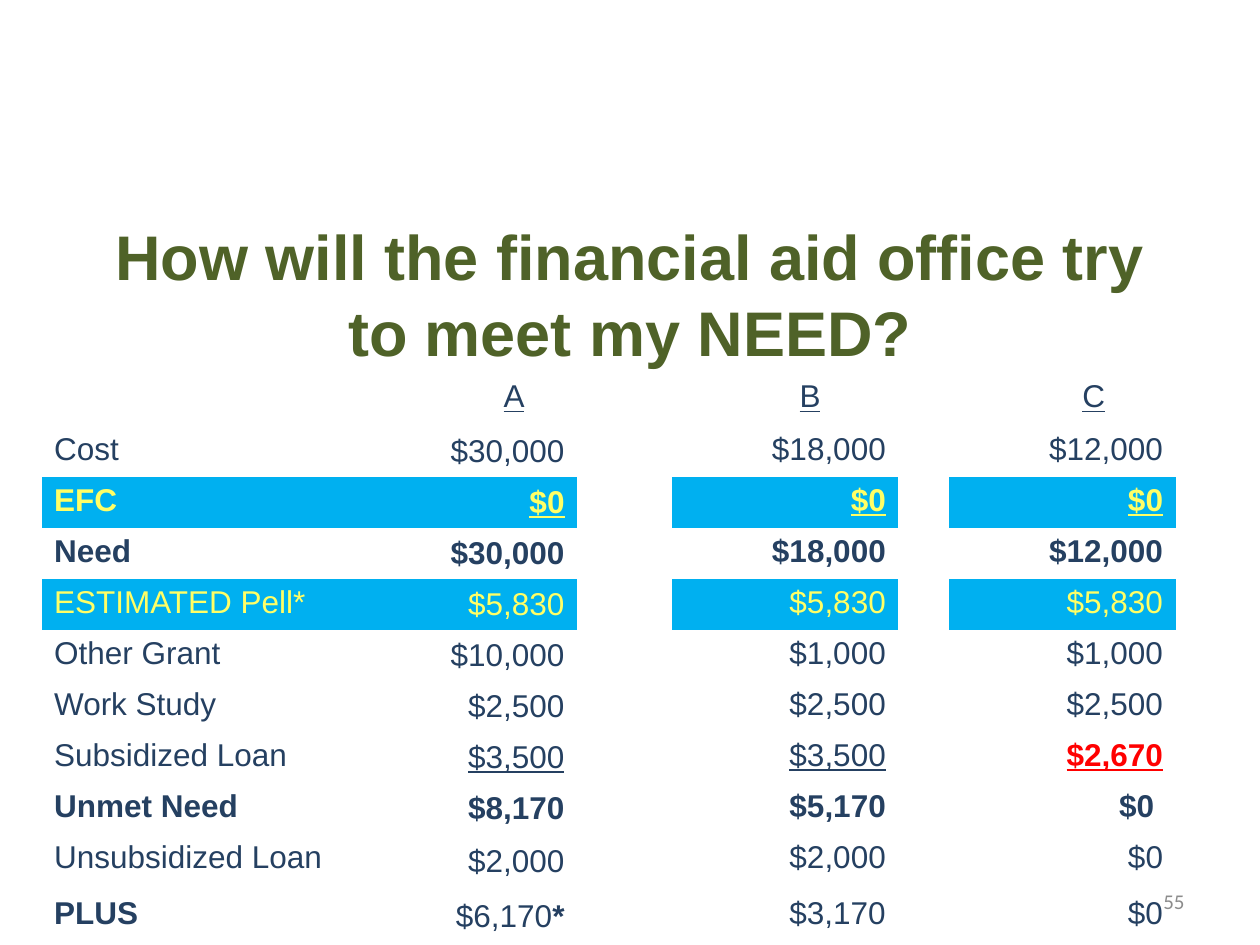
"""Build a slide that shows how financial aid meets need for three students."""
from dataclasses import dataclass

from pptx import Presentation
from pptx.dml.color import RGBColor
from pptx.enum.text import MSO_ANCHOR, PP_ALIGN
from pptx.oxml.ns import qn
from pptx.util import Inches, Pt

LEFT, CENTER, RIGHT = PP_ALIGN.LEFT, PP_ALIGN.CENTER, PP_ALIGN.RIGHT
TOP, MIDDLE = MSO_ANCHOR.TOP, MSO_ANCHOR.MIDDLE
NAVY, YELLOW, RED = "254061", "FFFF66", "FF0000"
GREEN, GREY, BAND = "4F6228", "8C8C8C", "00B0F0"
NO_STYLE = "{2D5ABB26-0587-4C30-8999-92F81FD0307C}"

TABLE_H, HEAD_H, LAST_H = 4.58, 0.46, 0.44
COL_WIDTHS = (2.5, 1.75, 0.75, 1.8, 0.4, 1.8, 0.5)
VALUE_COLS = (1, 3, 5)


@dataclass
class Run:
    text: str
    size: float = 18
    color: str = NAVY
    bold: bool = False
    underline: bool = False
    font: str = "Arial"


@dataclass
class AidRow:
    label: str
    values: tuple
    bold: bool = False
    values_bold: bool = False
    underline: bool = False
    band: bool = False


ROWS = (
    AidRow("Cost", ("$30,000", "$18,000", "$12,000")),
    AidRow("EFC", ("$0", "$0", "$0"), bold=True, values_bold=True, underline=True, band=True),
    AidRow("Need", ("$30,000", "$18,000", "$12,000"), bold=True, values_bold=True),
    AidRow("ESTIMATED Pell*", ("$5,830", "$5,830", "$5,830"), band=True),
    AidRow("Other Grant", ("$10,000", "$1,000", "$1,000")),
    AidRow("Work Study", ("$2,500", "$2,500", "$2,500")),
    AidRow("Subsidized Loan",
           ("$3,500", "$3,500", Run("$2,670", color=RED, bold=True, underline=True)),
           underline=True),
    AidRow("Unmet Need", ("$8,170", "$5,170", "$0 "), bold=True, values_bold=True),
    AidRow("Unsubsidized Loan", ("$2,000", "$2,000", "$0")),
    AidRow("PLUS", (" $6,170", " $3,170", " $0"), bold=True),
)


def rgb(value: str) -> RGBColor:
    """Turn a hex string into a colour."""
    return RGBColor.from_string(value)


def add_run(p, run: Run) -> None:
    """Add one formatted run to a paragraph."""
    r = p.add_run()
    r.text = run.text
    r.font.name = run.font
    r.font.size = Pt(run.size)
    r.font.bold = run.bold
    r.font.underline = run.underline
    r.font.color.rgb = rgb(run.color)


def add_text(s, left: float, top: float, width: float, height: float, align, run: Run) -> None:
    """Add a wrapped, vertically centred text box."""
    tf = s.shapes.add_textbox(Inches(left), Inches(top), Inches(width), Inches(height)).text_frame
    tf.word_wrap = True
    tf.vertical_anchor = MIDDLE
    p = tf.paragraphs[0]
    p.alignment = align
    add_run(p, run)


def fill_cell(cell, run: Run, align, anchor) -> None:
    """Write one run into a table cell."""
    cell.vertical_anchor = anchor
    p = cell.text_frame.paragraphs[0]
    p.alignment = align
    add_run(p, run)


def draw_row(table, index: int, row: AidRow) -> None:
    """Write the label and the three amounts of one aid row."""
    color = YELLOW if row.band else NAVY
    fill_cell(table.cell(index, 0), Run(row.label, color=color, bold=row.bold), LEFT, TOP)
    for col, value in zip(VALUE_COLS, row.values):
        run = value if isinstance(value, Run) else Run(
            value, color=color, bold=row.values_bold, underline=row.underline)
        fill_cell(table.cell(index, col), run, RIGHT, MIDDLE if col == 1 else TOP)
    if row.band:
        for col in (0, *VALUE_COLS):
            fill = table.cell(index, col).fill
            fill.solid()
            fill.fore_color.rgb = rgb(BAND)


def draw_table(s) -> None:
    """Draw the aid table with its merged column heads."""
    frame = s.shapes.add_table(len(ROWS) + 1, len(COL_WIDTHS), Inches(0.33), Inches(2.92),
                               Inches(sum(COL_WIDTHS)), Inches(TABLE_H))
    table = frame.table
    table.first_row = table.horz_banding = False
    next(frame.element.iter(qn("a:tableStyleId"))).text = NO_STYLE
    for column, width in zip(table.columns, COL_WIDTHS):
        column.width = Inches(width)
    body_count = len(ROWS) - 2
    body_h = (TABLE_H - HEAD_H - 2 * LAST_H) / body_count
    for row, height in zip(table.rows, [HEAD_H] + [body_h] * body_count + [LAST_H] * 2):
        row.height = Inches(height)
    for row in table.rows:
        for cell in row.cells:
            cell.fill.background()
    for col, name in zip(VALUE_COLS, "ABC"):
        head = table.cell(0, col)
        head.merge(table.cell(0, col + 1))
        fill_cell(head, Run(name, underline=True), CENTER, MIDDLE)
    for index, row in enumerate(ROWS, start=1):
        draw_row(table, index, row)
    add_run(table.cell(len(ROWS), 1).text_frame.paragraphs[0], Run("*", bold=True))


def main() -> None:
    """Build and save the slide."""
    prs = Presentation()
    prs.slide_width, prs.slide_height = Inches(10), Inches(7.5)
    s = prs.slides.add_slide(prs.slide_layouts[6])
    add_text(s, 0.75, 1.83, 8.5, 1, CENTER,
             Run("How will the financial aid office try to meet my NEED?", 36, GREEN, bold=True))
    draw_table(s)
    add_text(s, 7.17, 6.95, 2.33, 0.4, RIGHT, Run("55", 12, GREY, font="Calibri"))
    prs.save("out.pptx")


if __name__ == "__main__":
    main()
